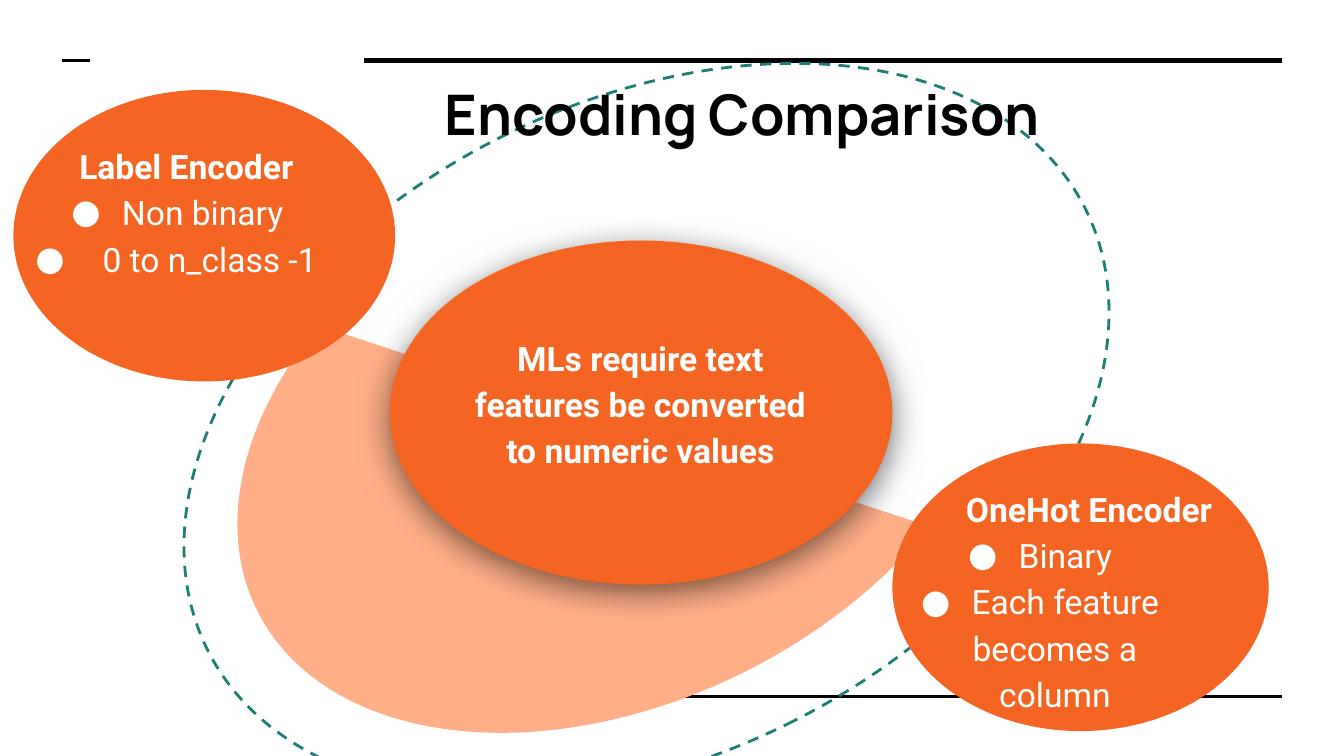
from dataclasses import dataclass

from lxml import etree
from pptx import Presentation
from pptx.dml.color import RGBColor
from pptx.enum.dml import MSO_LINE
from pptx.enum.shapes import MSO_CONNECTOR, MSO_SHAPE
from pptx.enum.text import MSO_ANCHOR, MSO_AUTO_SIZE, PP_ALIGN
from pptx.oxml.ns import qn
from pptx.util import Pt

OVAL, PIE, RECTANGLE = MSO_SHAPE.OVAL, MSO_SHAPE.PIE, MSO_SHAPE.RECTANGLE
STRAIGHT, DASH = MSO_CONNECTOR.STRAIGHT, MSO_LINE.DASH
TOP, MIDDLE = MSO_ANCHOR.TOP, MSO_ANCHOR.MIDDLE
LEFT, CENTER = PP_ALIGN.LEFT, PP_ALIGN.CENTER
GROW = MSO_AUTO_SIZE.SHAPE_TO_FIT_TEXT
TITLE_ONLY = 5


@dataclass(frozen=True)
class Theme:
    black: str = "000000"
    white: str = "FFFFFF"
    orange: str = "F46524"
    peach: str = "FFAE88"
    teal: str = "1D7E74"
    title_font: str = "Manrope"
    body_font: str = "Roboto"
    title_size: float = 30
    body_size: float = 18
    line_spacing: float = 1.15
    inset: float = 7.2


@dataclass(frozen=True)
class Line:
    """One paragraph; left, first and right are its indents in points."""
    text: str
    bold: bool = False
    bullet: bool = False
    left: float = 0
    first: float = 0
    right: float = 0


class Slide:
    def __init__(self, page, theme):
        self.page = page
        self.theme = theme

    def rule(self, left, right, y, weight):
        line = self.page.shapes.add_connector(STRAIGHT, Pt(left), Pt(y), Pt(right), Pt(y))
        line.line.color.rgb = RGBColor.from_string(self.theme.black)
        line.line.width = Pt(weight)
        etree.SubElement(line.element.spPr, qn("a:effectLst"))

    def shape(self, kind, place, fill=None, rotation=0):
        shape = self.page.shapes.add_shape(kind, *map(Pt, place))
        shape.shadow.inherit = False
        shape.rotation = rotation
        shape.line.fill.background()
        if fill:
            shape.fill.solid()
            shape.fill.fore_color.rgb = RGBColor.from_string(fill)
        else:
            shape.fill.background()
        return shape

    def orbit(self, place, rotation):
        ring = self.shape(OVAL, place, rotation=rotation)
        ring.line.color.rgb = RGBColor.from_string(self.theme.teal)
        ring.line.width = Pt(1.5)
        ring.line.dash_style = DASH

    def half_oval(self, place, rotation, start, end):
        pie = self.shape(PIE, place, self.theme.peach, rotation)
        pie.adjustments[0], pie.adjustments[1] = start, end

    def cast_shadow(self, shape):
        effects = shape.element.spPr.find(qn("a:effectLst"))
        shadow = etree.SubElement(effects, qn("a:outerShdw"), blurRad=str(Pt(18)),
                                  dist=str(Pt(4)), dir="5400000", algn="bl", rotWithShape="0")
        color = etree.SubElement(shadow, qn("a:srgbClr"), val=self.theme.black)
        etree.SubElement(color, qn("a:alpha"), val="55000")

    def text_box(self, place, lines, left_inset=None, bottom_inset=None):
        box = self.page.shapes.add_textbox(*map(Pt, place))
        self.set_text(box, lines)
        if left_inset is not None:
            box.text_frame.margin_left = Pt(left_inset)
        if bottom_inset is not None:
            box.text_frame.margin_bottom = Pt(bottom_inset)

    def set_text(self, box, lines):
        frame = box.text_frame
        self.set_frame(frame, MIDDLE)
        frame.text = "\n".join(line.text for line in lines)
        for para, line in zip(frame.paragraphs, lines):
            para.alignment = CENTER
            para.line_spacing = self.theme.line_spacing
            self.indent(para, line)
            self.style(para, self.theme.body_font, self.theme.body_size,
                       self.theme.white, line.bold)

    def indent(self, para, line):
        properties = para._p.get_or_add_pPr()
        properties.set("marL", str(Pt(line.left)))
        properties.set("indent", str(Pt(line.first)))
        properties.set("marR", str(Pt(line.right)))
        if line.bullet:
            color = etree.SubElement(properties, qn("a:buClr"))
            etree.SubElement(color, qn("a:srgbClr"), val=self.theme.white)
            etree.SubElement(properties, qn("a:buFont"), typeface=self.theme.body_font)
            etree.SubElement(properties, qn("a:buChar"), char="●")

    def set_frame(self, frame, anchor):
        frame.word_wrap = True
        frame.vertical_anchor = anchor
        frame.margin_left = frame.margin_right = Pt(self.theme.inset)
        frame.margin_top = frame.margin_bottom = Pt(self.theme.inset)

    def style(self, para, font, size, color, bold):
        for span in para.runs:
            span.font.name = font
            span.font.size = Pt(size)
            span.font.bold = bold
            span.font.color.rgb = RGBColor.from_string(color)

    def title(self, text, place):
        """Fill the title placeholder and bring it to the front."""
        title = self.page.shapes.title
        title.left, title.top, title.width, title.height = map(Pt, place)
        frame = title.text_frame
        self.set_frame(frame, TOP)
        frame.auto_size = GROW
        frame.text = text
        para = frame.paragraphs[0]
        para.alignment = LEFT
        self.style(para, self.theme.title_font, self.theme.title_size, self.theme.black, True)
        title.element.getparent().append(title.element)


def main():
    deck = Presentation()
    deck.slide_width, deck.slide_height = Pt(720), Pt(405)
    theme = Theme()
    slide = Slide(deck.slides.add_slide(deck.slide_layouts[TITLE_ONLY]), theme)

    for left, right, y, weight in ((195, 687, 32.4, 3), (195, 687, 373, 1.5), (33.5, 48, 32.4, 1.5)):
        slide.rule(left, right, y, weight)

    slide.orbit((171.4, -33.1, 349.9, 526.3), 243.2)
    slide.half_oval((114.5, 82.1, 439.2, 293), 333.2, 26.9, 135.11)

    slide.cast_shadow(slide.shape(OVAL, (208.8, 128.9, 269.3, 184.3), theme.orange))
    panel = slide.shape(RECTANGLE, (243.4, 172.8, 199.4, 84.2), theme.orange)
    slide.set_text(panel, [Line("MLs require text features be converted to numeric values", bold=True)])

    slide.shape(OVAL, (7.2, 48.2, 204.5, 156.2), theme.orange)
    slide.text_box((-14.4, 59, 226.1, 156.2), [
        Line("Label Encoder", bold=True, left=36, first=-13.5, right=13),
        Line("Non binary", bullet=True, left=36, first=-27, right=9),
        Line("0 to n_class -1", bullet=True, left=40.5, first=-36, right=6),
    ], left_inset=0, bottom_inset=57)

    slide.shape(OVAL, (478.1, 237.6, 201.6, 154.1), theme.orange)
    slide.text_box((478.1, 267.8, 214.6, 105.8), [
        Line("OneHot Encoder", bold=True, right=4),
        Line("Binary", bullet=True, left=4.5, first=-27, right=45),
        Line("Each feature becomes a column", bullet=True, left=4.5, first=-27, right=45),
    ])

    slide.title("Encoding Comparison", (231.1, 35.3, 475.2, 51.1))
    deck.save("out.pptx")


if __name__ == "__main__":
    main()
